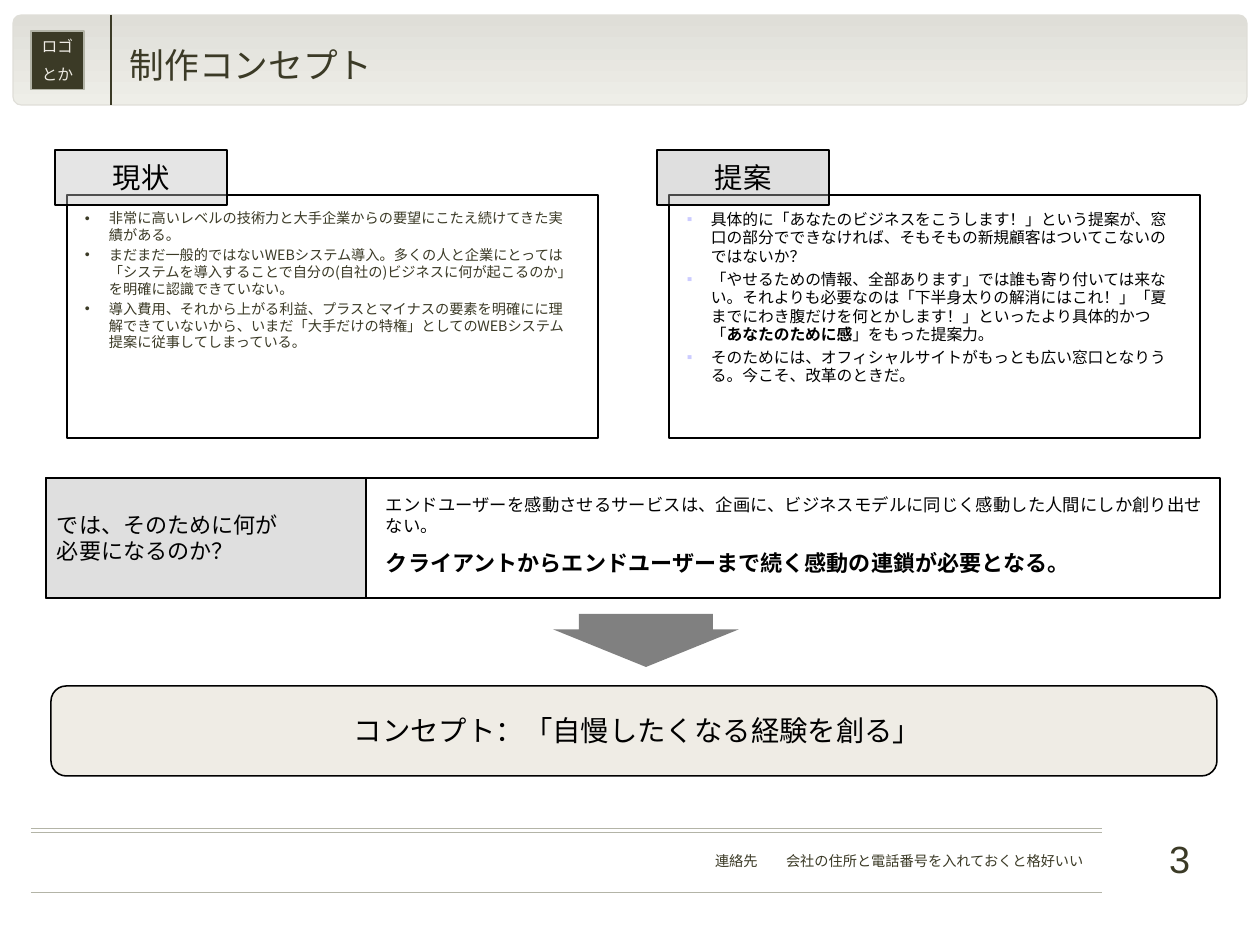
from dataclasses import dataclass

from lxml import etree
from pptx import Presentation
from pptx import util as u
from pptx.dml.color import RGBColor
from pptx.enum import shapes, text
from pptx.oxml.ns import qn

PX = 914400 / 113.5  # EMU per px
LEFT, CENTER, RIGHT = text.PP_ALIGN.LEFT, text.PP_ALIGN.CENTER, text.PP_ALIGN.RIGHT
RECT, ROUND = shapes.MSO_SHAPE.RECTANGLE, shapes.MSO_SHAPE.ROUNDED_RECTANGLE


@dataclass(frozen=True)
class Theme:
    ink: str = "3B3A26"
    black: str = "000000"
    cream: str = "EFECE5"
    rule: str = "B3B4A7"
    band_top: str = "DFDED8"
    band_bottom: str = "EEEEE8"
    tab_light: str = "C0C0C0"
    tab_dark: str = "B2B2B2"
    arrow: str = "808080"
    bullet: str = "CCCCFF"
    cjk: str = "Noto Sans CJK JP"
    sans: str = "Arial"
    serif: str = "Times New Roman"
    small: int = 9
    body: int = 10
    lead: int = 11
    strong: int = 14
    heading: int = 18
    title: int = 22
    number: int = 24
    leading: float = 1.18


T = Theme()

CURRENT = [
    "非常に高いレベルの技術力と大手企業からの要望にこたえ続けてきた実績がある。",
    "まだまだ一般的ではないWEBシステム導入。多くの人と企業にとっては「システムを導入することで自分の(自社の)ビジネスに何が起こるのか」を明確に認識できていない。",
    "導入費用、それから上がる利益、プラスとマイナスの要素を明確にに理解できていないから、いまだ「大手だけの特権」としてのWEBシステム提案に従事してしまっている。",
]
PROPOSAL = [
    "具体的に「あなたのビジネスをこうします！」という提案が、窓口の部分でできなければ、そもそもの新規顧客はついてこないのではないか？",
    [("「やせるための情報、全部あります」では誰も寄り付いては来ない。それよりも必要なのは「下半身太りの解消にはこれ！」「夏までにわき腹だけを何とかします！」といったより具体的かつ「", False),
     ("あなたのために感", True),
     ("」をもった提案力。", False)],
    "そのためには、オフィシャルサイトがもっとも広い窓口となりうる。今こそ、改革のときだ。",
]


def px(n):
    return u.Emu(round(n * PX))


def rgb(color):
    return RGBColor.from_string(color)


def write(tf, content, size, color=T.black, font=T.cjk, bold=False,
          align=LEFT, before=0, bullet=None, bullet_color=None):
    """Append one paragraph; content is a string or (text, bold) pairs."""
    p = tf.paragraphs[0]
    if p.runs:
        p = tf.add_paragraph()
    p.alignment = align
    p.line_spacing = u.Pt(round(size * T.leading, 1))
    p.space_before = u.Pt(before)
    if bullet:
        ppr = p._p.get_or_add_pPr()
        ppr.set("marL", str(px(24)))
        ppr.set("indent", str(px(-24)))
        clr = etree.SubElement(ppr, qn("a:buClr"))
        etree.SubElement(clr, qn("a:srgbClr"), val=bullet_color)
        etree.SubElement(ppr, qn("a:buFont"), typeface=T.sans)
        etree.SubElement(ppr, qn("a:buChar"), char=bullet)
    for words, is_bold in [(content, bold)] if isinstance(content, str) else content:
        r = p.add_run()
        r.text = words
        r.font.size = u.Pt(size)
        r.font.bold = is_bold
        r.font.name = font
        r.font.color.rgb = rgb(color)
        etree.SubElement(r._r.get_or_add_rPr(), qn("a:ea"), typeface=T.cjk)


def set_frame(tf, inset_x, inset_y, anchor, wrap=True):
    tf.word_wrap = wrap
    tf.margin_left = tf.margin_right = px(inset_x)
    tf.margin_top = tf.margin_bottom = px(inset_y)
    tf.vertical_anchor = anchor


def add_box(s, x, y, w, h, kind=RECT, fill=None, alpha=None, line=T.black,
            width=1, adj=()):
    sp = s.shapes.add_shape(kind, px(x), px(y), px(w), px(h))
    sp.shadow.inherit = False
    for i, value in enumerate(adj):
        sp.adjustments[i] = value
    if fill:
        sp.fill.solid()
        sp.fill.fore_color.rgb = rgb(fill)
    else:
        sp.fill.background()
    if alpha:
        clr = sp._element.spPr.find(qn("a:solidFill"))[0]
        etree.SubElement(clr, qn("a:alpha"), val=str(alpha * 1000))
    if line:
        sp.line.color.rgb = rgb(line)
        sp.line.width = u.Pt(width)
    else:
        sp.line.fill.background()
    set_frame(sp.text_frame, 11, 6, text.MSO_ANCHOR.MIDDLE, wrap=False)
    return sp


def add_textbox(s, x, y, w, h, inset_x=11, inset_y=6, anchor=text.MSO_ANCHOR.TOP):
    tf = s.shapes.add_textbox(px(x), px(y), px(w), px(h)).text_frame
    set_frame(tf, inset_x, inset_y, anchor)
    return tf


def add_line(s, x1, y1, x2, y2, color, width):
    c = s.shapes.add_connector(shapes.MSO_CONNECTOR.STRAIGHT,
                               px(x1), px(y1), px(x2), px(y2))
    c.line.color.rgb = rgb(color)
    c.line.width = u.Pt(width)
    etree.SubElement(c._element.spPr, qn("a:effectLst"))


def add_panel(s, x, heading, tab_fill, items, **fmt):
    """Bulleted list in a frame with a heading tab on its top left corner."""
    tf = add_textbox(s, x + 30, 204, 487, 225, inset_x=0)
    for item in items:
        write(tf, item, **fmt)
    add_box(s, x + 12, 195, 531, 243)
    tab = add_box(s, x, 150, 172, 55, fill=tab_fill, alpha=41)
    write(tab.text_frame, heading, T.heading, font=T.sans, align=CENTER)


def add_header(s):
    band = add_box(s, 13, 15, 1234, 90, ROUND, line=T.band_top, width=0.75, adj=[0.09])
    band.fill.gradient()
    band.fill.gradient_angle = 270
    for stop, color in zip(band.fill.gradient_stops, (T.band_top, T.band_bottom)):
        stop.color.rgb = rgb(color)
    add_line(s, 111, 15, 111, 105, T.ink, 0.75)
    badge = add_box(s, 31, 31, 53, 59, fill=T.ink, line=T.rule, width=0.75)
    for words in ("ロゴ", "とか"):
        write(badge.text_frame, words, T.body, T.cream, T.serif, align=CENTER, before=6.2)
    tf = add_textbox(s, 118, 25, 1093, 80, 12, 7, text.MSO_ANCHOR.MIDDLE)
    write(tf, "制作コンセプト", T.title, T.ink)


def add_footer(s):
    for y in (828, 832, 892):
        add_line(s, 31, y, 1102, y, T.rule, 0.25)
    tf = add_textbox(s, 40, 847, 1054, 28)
    write(tf, "連絡先　　会社の住所と電話番号を入れておくと格好いい",
          T.small, T.ink, align=RIGHT, before=5.6)
    tf = add_textbox(s, 1095, 829, 107, 40, 12, 7)
    write(tf, "3", T.number, T.ink, T.sans, align=RIGHT)


def add_question(s):
    add_box(s, 46, 478, 1174, 120)
    label = add_box(s, 46, 478, 320, 120, fill=T.tab_dark, alpha=41)
    for words in ("では、そのために何が", "必要になるのか？"):
        write(label.text_frame, words, T.strong, font=T.sans)
    tf = add_textbox(s, 375, 489, 840, 93)
    write(tf, "エンドユーザーを感動させるサービスは、企画に、ビジネスモデルに同じく感動した人間にしか創り出せない。",
          T.lead, before=6.9)
    write(tf, "クライアントからエンドユーザーまで続く感動の連鎖が必要となる。",
          T.strong, bold=True, before=8.8)


def add_concept(s):
    add_box(s, 553, 614, 186, 53, shapes.MSO_SHAPE.DOWN_ARROW,
            fill=T.arrow, line=None, adj=[0.72, 0.71])
    add_box(s, 51, 686, 1166, 90, ROUND, fill=T.cream, adj=[0.17])
    tf = add_textbox(s, 77, 708, 1121, 45)
    write(tf, "コンセプト：「自慢したくなる経験を創る」", T.heading, align=CENTER, before=11.2)


def main():
    prs = Presentation()
    prs.slide_width, prs.slide_height = px(1260), px(942)
    s = prs.slides.add_slide(prs.slide_layouts[6])

    # Page furniture
    add_header(s)
    add_footer(s)

    # Current state and proposal
    add_panel(s, 55, "現状", T.tab_light, CURRENT, size=T.small, color=T.ink,
              before=2.2, bullet="•", bullet_color=T.ink)
    add_panel(s, 657, "提案", T.tab_dark, PROPOSAL, size=T.body,
              before=2.5, bullet="▪", bullet_color=T.bullet)

    # Question leading to the concept
    add_question(s)
    add_concept(s)

    prs.save("out.pptx")


if __name__ == "__main__":
    main()
